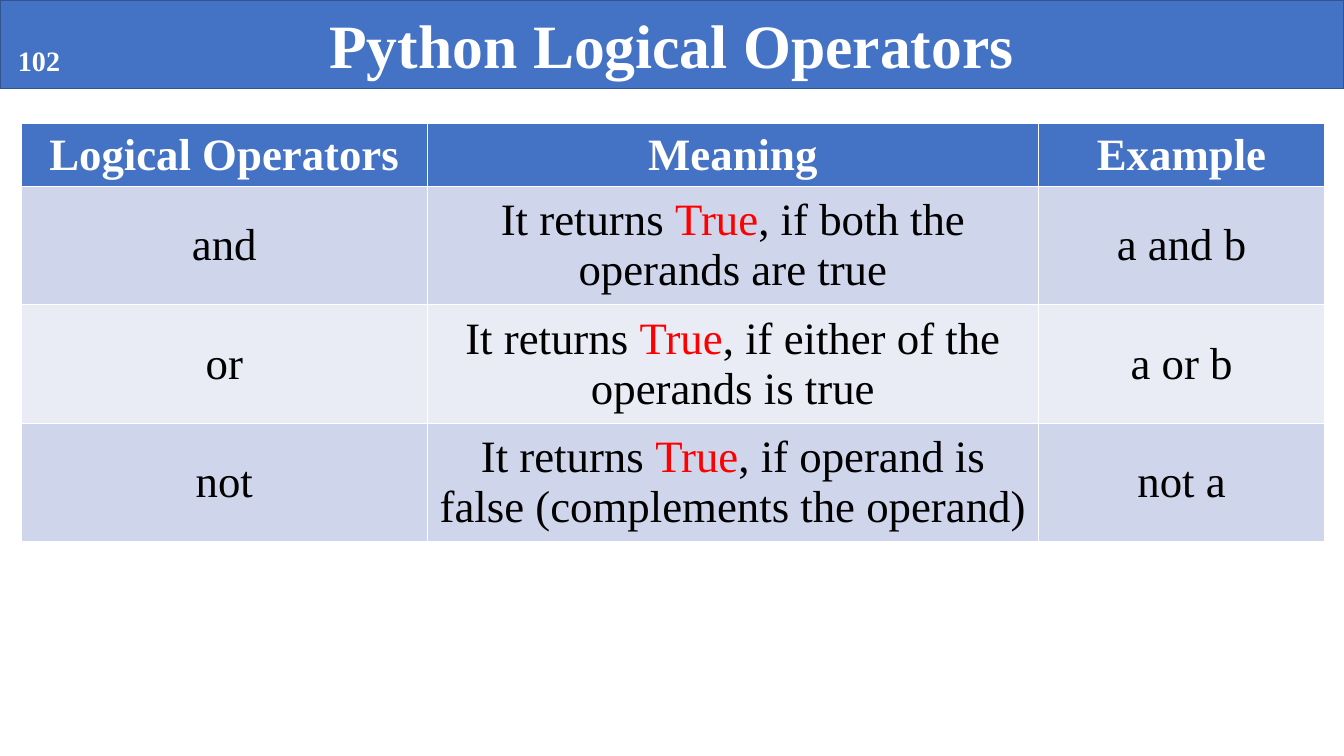
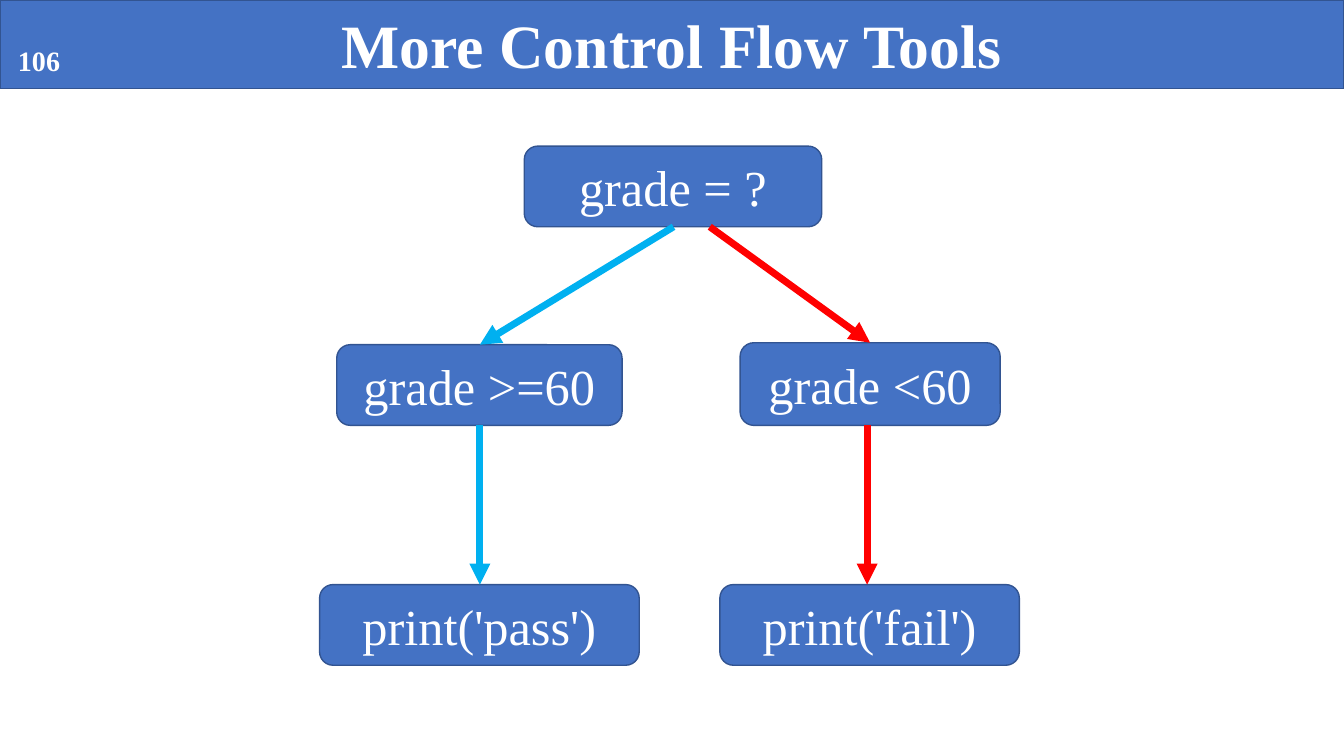
from lxml import etree
from pptx import Presentation
from pptx.dml.color import RGBColor
from pptx.enum.shapes import MSO_CONNECTOR as CONN, MSO_SHAPE as SHAPE
from pptx.enum.text import MSO_ANCHOR as ANCHOR, MSO_AUTO_SIZE as AUTO, PP_ALIGN as ALIGN
from pptx.oxml.ns import qn
from pptx.util import Inches, Pt

FONT = "Times New Roman"
BLUE, EDGE, WHITE, BLACK = "4472C4", "325491", "FFFFFF", "000000"
CYAN, RED = "00B0F0", "FF0000"
BANDS = ["CFD5EA", "E9EBF5"]


def paint(target, color):
    if hasattr(target, "solid"):
        target.solid()
        target = target.fore_color
    target.rgb = RGBColor.from_string(color)


def style_text(tf, size, color=WHITE, bold=False, align=ALIGN.CENTER):
    tf.vertical_anchor = ANCHOR.MIDDLE
    for p in tf.paragraphs:
        p.alignment = align
        for r in p.runs:
            r.font.name, r.font.size, r.font.bold = FONT, Pt(size), bold
            paint(r.font.color, color)


prs = Presentation()
prs.slide_width, prs.slide_height = Inches(13.33), Inches(7.5)

slides = []
for title, number in [("Python Logical Operators", "102"), ("More Control Flow Tools", "106")]:
    s = prs.slides.add_slide(prs.slide_layouts[5])
    sp = s.shapes.title
    sp.left, sp.top, sp.width, sp.height = 0, 0, prs.slide_width, Inches(0.88)
    paint(sp.fill, BLUE)
    paint(sp.line.fill, EDGE)
    sp.line.width = Pt(1)
    tf = sp.text_frame
    tf.text = title
    tf.auto_size = AUTO.NONE
    style_text(tf, 44, bold=True)

    tf = s.shapes.add_textbox(Inches(0.08), Inches(0.38), Inches(0.62), Inches(0.44)).text_frame
    tf.text = number
    tf.word_wrap = False
    style_text(tf, 20, bold=True, align=ALIGN.LEFT)
    slides.append(s)

operators_slide, flow_slide = slides

rows = [
    ["Logical Operators", "Meaning", "Example"],
    ["and", ["It returns ", "True", ", if both the operands are true"], "a and b"],
    ["or", ["It returns ", "True", ", if either of the operands is true"], "a or b"],
    ["not", ["It returns ", "True", ", if operand is false (complements the operand)"], "not a"],
]
table = operators_slide.shapes.add_table(
    4, 3, Inches(0.21), Inches(1.22), Inches(12.93), Inches(3.95)).table
for col, width in zip(table.columns, [4.03, 6.06, 2.84]):
    col.width = Inches(width)
for row, height in zip(table.rows, [0.59, 1.09, 1.18, 1.09]):
    row.height = Inches(height)
for i, row in enumerate(rows):
    for j, content in enumerate(row):
        cell = table.cell(i, j)
        header = i == 0
        paint(cell.fill, BLUE if header else BANDS[(i - 1) % 2])
        cell.vertical_anchor = ANCHOR.MIDDLE
        p = cell.text_frame.paragraphs[0]
        p.alignment = ALIGN.CENTER
        for text in [content] if isinstance(content, str) else content:
            r = p.add_run()
            r.text = text
            r.font.name, r.font.size, r.font.bold = FONT, Pt(32), header
            paint(r.font.color, WHITE if header else RED if text == "True" else BLACK)

steps = [
    ("grade = ?", 5.2, 1.45, 2.95, 0.8),
    ("grade >=60", 3.34, 3.42, 2.83, 0.8),
    ("grade <60", 7.34, 3.4, 2.58, 0.82),
    ("print('pass')", 3.17, 5.8, 3.17, 0.8),
    ("print('fail')", 7.14, 5.8, 2.97, 0.8),
]
for text, *box in steps:
    sp = flow_slide.shapes.add_shape(SHAPE.ROUNDED_RECTANGLE, *map(Inches, box))
    sp.shadow.inherit = False
    paint(sp.fill, BLUE)
    paint(sp.line.fill, EDGE)
    sp.line.width = Pt(1)
    sp.text_frame.text = text
    style_text(sp.text_frame, 36)

arrows = [
    (CYAN, 6.68, 2.25, 4.76, 3.42),
    (RED, 7.04, 2.25, 8.63, 3.4),
    (CYAN, 4.76, 4.22, 4.76, 5.8),
    (RED, 8.6, 4.22, 8.6, 5.8),
]
for color, *ends in arrows:
    arrow = flow_slide.shapes.add_connector(CONN.STRAIGHT, *map(Inches, ends))
    paint(arrow.line.fill, color)
    arrow.line.width = Pt(5)
    etree.SubElement(arrow.line._get_or_add_ln(), qn("a:tailEnd"), type="triangle")
    etree.SubElement(arrow._element.spPr, qn("a:effectLst"))

prs.save("out.pptx")
